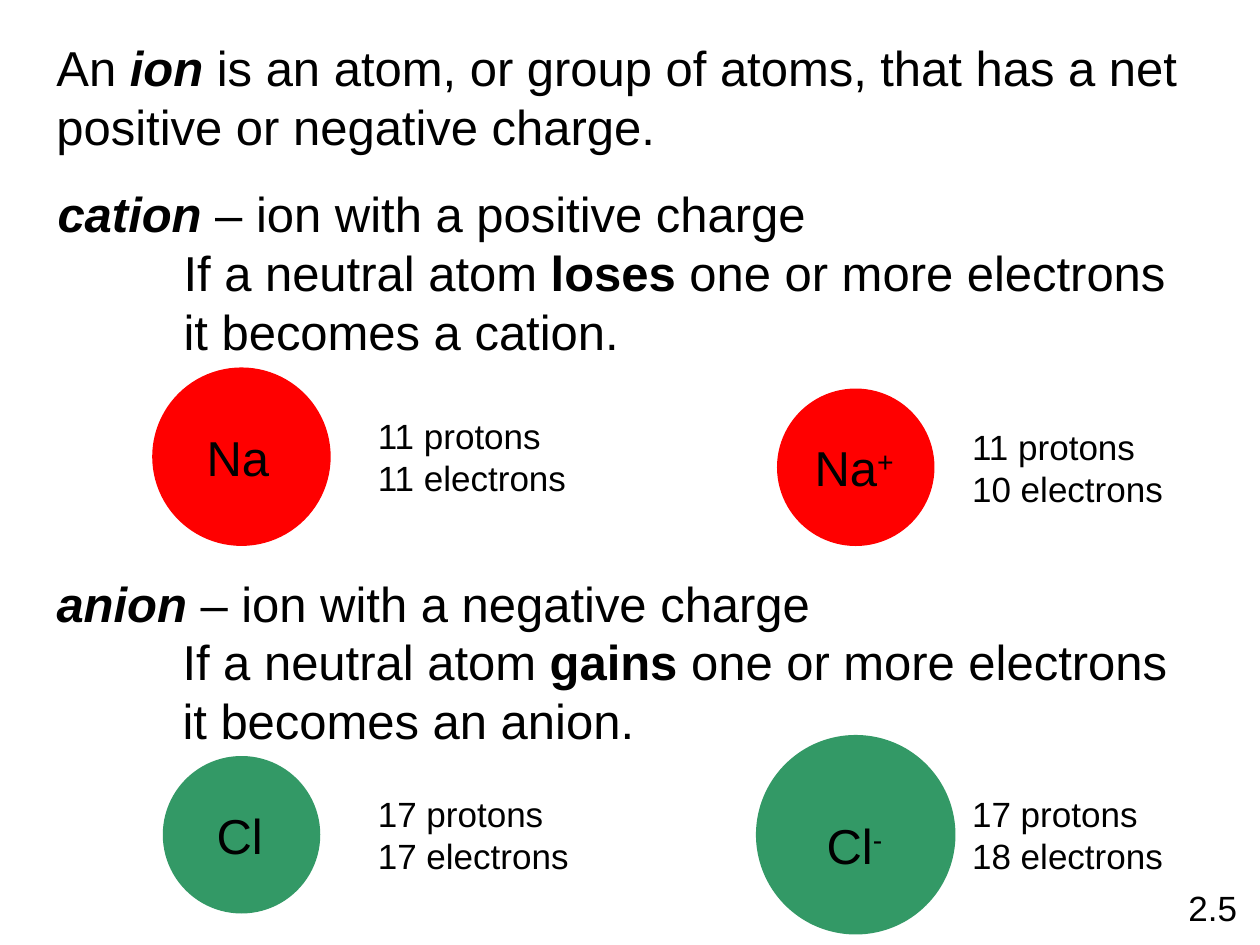
from lxml.etree import SubElement as Sub
from pptx import Presentation
from pptx.dml.color import RGBColor as RGB
from pptx.enum.shapes import MSO_SHAPE as Form
from pptx.enum.text import MSO_AUTO_SIZE as Fit
from pptx.oxml.ns import qn
from pptx.util import Inches, Pt

BLACK = RGB(0, 0, 0)
RED = RGB(255, 0, 0)
GREEN = RGB(51, 153, 102)


class Page:
    """Draws text and atoms on a grid of 120 columns by 90 rows."""

    font, big, small = "Arial", 28, 20

    def __init__(self, deck):
        deck.slide_width, deck.slide_height = Inches(10), Inches(7.5)
        self.col, self.row = deck.slide_width / 120, deck.slide_height / 90
        self.slide = deck.slides.add_slide(deck.slide_layouts[6])

    def area(self, x, y, w, h):
        return [int(n) for n in (x * self.col, y * self.row, w * self.col, h * self.row)]

    def text(self, x, y, w, h, lines, size=big, home=None):
        shapes = (home or self.slide).shapes
        frame = shapes.add_textbox(*self.area(x, y, w, h)).text_frame
        frame.word_wrap = True
        frame.auto_size = Fit.SHAPE_TO_FIT_TEXT
        for i, line in enumerate(lines):
            para = frame.add_paragraph() if i else frame.paragraphs[0]
            self.fill(para, line, size)

    def fill(self, para, line, size):
        if line[0][0].startswith("\t"):
            tabs = Sub(para._p.get_or_add_pPr(), qn("a:tabLst"))
            Sub(tabs, qn("a:tab"), pos=str(Inches(1)), algn="l")
        font = para.font
        font.name, font.size = self.font, Pt(size)
        font.color.rgb = BLACK
        for words, style in line:
            run = para.add_run()
            run.text = words
            if "b" in style:
                run.font.bold = True
            if "i" in style:
                run.font.italic = True
            if "^" in style:
                run._r.get_or_add_rPr().set("baseline", "30000")

    def term(self, x, y, name, charge, verb, end):
        self.text(x, y, 110, 18, [
            [(name, "bi"), (f" – ion with a {charge} charge", "")],
            [("\tIf a neutral atom ", ""), (verb, "b"), (" one or more electrons", "")],
            [(f"\tit becomes {end}.", "")],
        ])

    def atom(self, x, y, size, color, sign, wide, left, counts, drop=0):
        group = self.slide.shapes.add_group_shape()
        place = self.area(x - size / 2, y - size / 2, size, size)
        ball = group.shapes.add_shape(Form.OVAL, *place)
        ball.shadow.inherit = False
        ball.fill.solid()
        ball.fill.fore_color.rgb = color
        ball.line.fill.background()
        self.text(x - wide / 2, y - 3.4 + drop, wide, 6.8, [sign], home=group)
        lines = [[(f"{n} {kind}", "")] for n, kind in zip(counts, ("protons", "electrons"))]
        self.text(left, y - 4.6, 21.5, 9.2, lines, self.small, home=group)


def main():
    deck = Presentation()
    page = Page(deck)
    page.text(4.2, 3, 111.6, 12.5, [[
        ("An ", ""), ("ion", "bi"),
        (" is an atom, or group of atoms, that has a net positive or negative charge.", ""),
    ]])
    page.term(4.3, 16.9, "cation", "positive", "loses", "a cation")
    page.term(4.2, 54, "anion", "negative", "gains", "an anion")
    near, far = (23, 34.8), (81.5, 91.4)
    for (x, left), y, size, color, sign, wide, counts, drop in (
        (near, 43.5, 17, RED, [("Na", "")], 9, (11, 11), 0),
        (far, 44.5, 15, RED, [("Na", ""), ("+", "^")], 10.2, (11, 10), 0),
        (near, 79.5, 15, GREEN, [("Cl", "")], 7.1, (17, 17), 0),
        (far, 79.5, 19, GREEN, [("Cl", ""), ("-", "^")], 7.9, (17, 18), 1),
    ):
        page.atom(x, y, size, color, sign, wide, left, counts, drop)
    page.text(112, 83.8, 7.2, 5.2, [[("2.5", "")]], page.small)
    deck.save("out.pptx")


if __name__ == "__main__":
    main()
